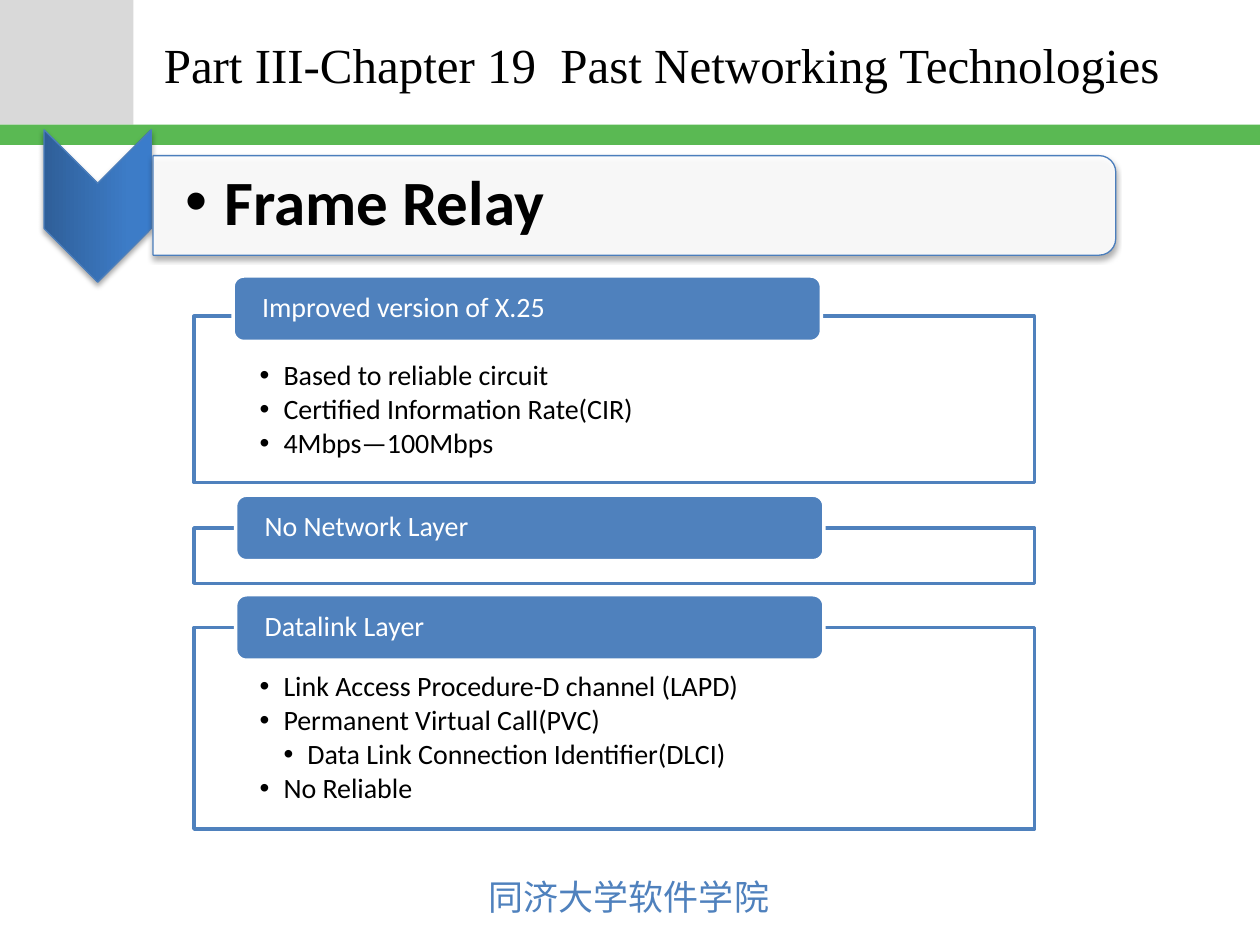
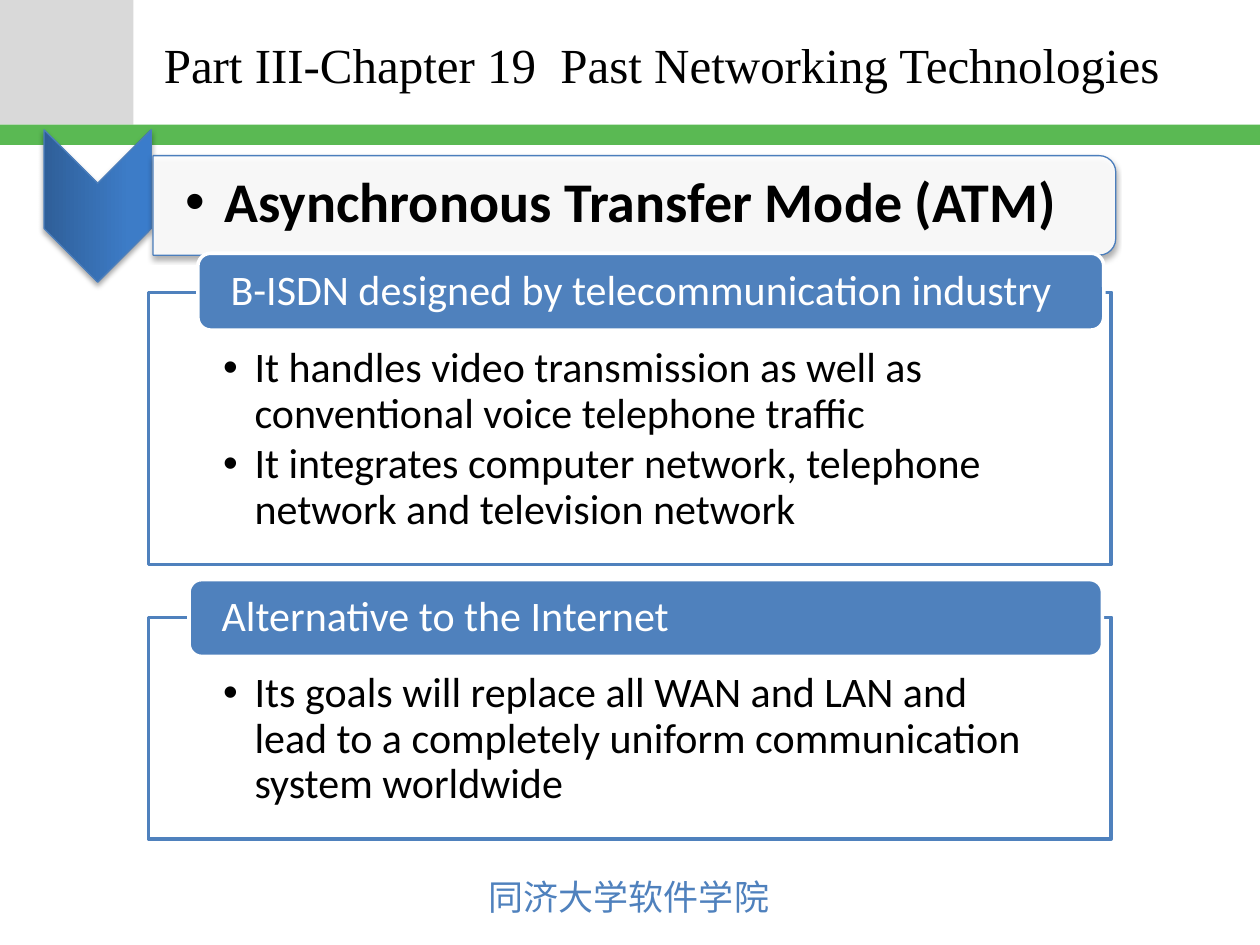
from lxml.etree import SubElement
from pptx import Presentation
from pptx.dml.color import RGBColor
from pptx.enum.shapes import MSO_SHAPE
from pptx.enum.text import MSO_ANCHOR, MSO_AUTO_SIZE, PP_ALIGN
from pptx.oxml import parse_xml
from pptx.oxml.ns import nsdecls, qn
from pptx.util import Inches, Pt

COLORS = {
    "white": "FFFFFF", "black": "000000", "corner": "D9D9D9", "band": "5AB953",
    "accent": "4F81BD", "outline": "4B7EBC",
    "dark": "2F5F99", "mid": "3D7CC7", "light": "3A7CCB",
}
COLUMNS = 100  # the grid is 100 columns by 75 square rows
TITLE = "Part III-Chapter 19  Past Networking Technologies"
FOOTER = "同济大学软件学院"


class Deck:
    """Holds the style and the current slide; lengths are grid columns and rows."""

    def __init__(self):
        self.prs = Presentation()
        self.prs.slide_width, self.prs.slide_height = Inches(10), Inches(7.5)
        self.unit = self.prs.slide_width / COLUMNS
        self.layout = self.prs.slide_layouts.get_by_name("Comparison")
        self.s = None

    def grid(self, *cells):
        return [round(c * self.unit) for c in cells]

    def place(self, sp, box):
        sp.left, sp.top, sp.width, sp.height = self.grid(*box)

    def color(self, name):
        return RGBColor.from_string(COLORS[name])

    def shape(self, kind, box, fill, line=None, width=2, alpha=None):
        sp = self.s.shapes.add_shape(kind, *self.grid(*box))
        sp.shadow.inherit = False
        sp.fill.solid()
        sp.fill.fore_color.rgb = self.color(fill)
        if alpha:
            clr = sp.element.spPr.find(qn("a:solidFill"))[0]
            SubElement(clr, qn("a:alpha"), val=str(alpha * 1000))
        if line:
            sp.line.color.rgb = self.color(line)
            sp.line.width = Pt(width)
        else:
            sp.line.fill.background()
        return sp

    def cast_shadow(self, sp):
        effects = sp.element.spPr.find(qn("a:effectLst"))
        effects.append(parse_xml(
            f'<a:outerShdw {nsdecls("a")} blurRad="40000" dist="23000" dir="5400000" '
            f'rotWithShape="0"><a:srgbClr val="{COLORS["black"]}">'
            '<a:alpha val="35000"/></a:srgbClr></a:outerShdw>'))

    def gradient(self, sp, stops):
        marks = "".join(f'<a:gs pos="{pos * 1000}"><a:srgbClr val="{COLORS[c]}"/></a:gs>'
                        for pos, c in stops)
        solid = sp.element.spPr.find(qn("a:solidFill"))
        solid.getparent().replace(solid, parse_xml(
            f'<a:gradFill {nsdecls("a")} rotWithShape="1"><a:gsLst>{marks}</a:gsLst>'
            '<a:lin ang="16200000" scaled="0"/></a:gradFill>'))

    def frame_text(self, sp, insets, anchor):
        tf = sp.text_frame
        tf.word_wrap = True
        tf.auto_size = MSO_AUTO_SIZE.NONE
        tf.vertical_anchor = anchor
        (tf.margin_left, tf.margin_top,
         tf.margin_right, tf.margin_bottom) = self.grid(*insets)
        return tf

    def style(self, p, size, color, font="Calibri", bold=False):
        p.alignment = PP_ALIGN.LEFT
        p.space_before = Pt(0)
        for r in p.runs:
            r.font.size, r.font.name, r.font.bold = Pt(size), font, bold
            r.font.color.rgb = self.color(color)

    def bullet(self, p, indent, level=0):
        pPr = p._p.get_or_add_pPr()
        step = self.grid(indent)[0]
        pPr.set("marL", str(step * (level + 1)))
        pPr.set("indent", str(-step))
        SubElement(pPr, qn("a:buFont"), typeface="Arial")
        SubElement(pPr, qn("a:buChar"), char="•")

    def master_parts(self):
        """Draw the corner, band and footer once and hand them to the layout."""
        corner = self.shape(MSO_SHAPE.RECTANGLE, (0, 0, 10.6, 9.9), "corner")
        band = self.shape(MSO_SHAPE.RECTANGLE, (0, 9.9, COLUMNS, 1.6), "band")
        footer = self.s.shapes.add_textbox(*self.grid(37.8, 69, 24.5, 4.4))
        footer.text_frame.word_wrap = False
        footer.text_frame.auto_size = MSO_AUTO_SIZE.SHAPE_TO_FIT_TEXT
        p = footer.text_frame.paragraphs[0]
        p.text = FOOTER
        self.style(p, 20, "accent", "Noto Sans CJK JP")
        SubElement(p.runs[0].font._element, qn("a:ea"), typeface="Noto Sans CJK JP")
        for sp in (corner, band, footer):
            self.layout.shapes.element.append(sp.element)

    def new_slide(self):
        first = self.s is None
        self.s = self.prs.slides.add_slide(self.layout)
        if first:
            self.master_parts()
        title, *self.bodies = self.s.placeholders
        self.place(title, (12, 0.2, 86, 9.8))
        tf = self.frame_text(title, (1, 0.5, 1, 0.5), MSO_ANCHOR.MIDDLE)
        tf.text = TITLE
        self.style(tf.paragraphs[0], 28, "black", "Times New Roman")

    def bullets(self, box, items, size, insets, indent, anchor=MSO_ANCHOR.TOP, bold=False):
        """Fill the next body placeholder and bring it to the front."""
        sp = self.bodies.pop(0)
        self.s.shapes.element.append(sp.element)
        self.place(sp, box)
        tf = self.frame_text(sp, insets, anchor)
        tf.text = "\n".join(text for text, _ in items)
        for p, (_, level) in zip(tf.paragraphs, items):
            p.level = level
            p.line_spacing = 0.9
            p.space_after = Pt(round(size * 0.13, 1))
            self.bullet(p, indent, level)
            self.style(p, size, "black", bold=bold)

    def heading(self, text, size):
        chevron = self.shape(MSO_SHAPE.CHEVRON, (1.7, 12.1, 12.1, 8.5),
                             "mid", "outline", 0.75)
        self.gradient(chevron, [(0, "dark"), (80, "mid"), (100, "light")])
        bar = self.shape(MSO_SHAPE.ROUND_2_SAME_RECTANGLE, (46.4, -21.9, 7.9, 76.4),
                         "white", "outline", 0.75, alpha=90)
        for sp in (chevron, bar):
            sp.rotation = 90
            self.cast_shadow(sp)
        self.bullets((12.2, 12.7, 76, 7.1), [(text, 0)], size, (2.5, 0.2, 0.2, 0.2),
                     3.1, MSO_ANCHOR.MIDDLE, bold=True)

    def panel(self, look, rows, tab, label, items):
        """A framed list with a rounded label on its top edge."""
        top, height = rows
        box = (look["x"], top, look["w"], height)
        self.shape(MSO_SHAPE.RECTANGLE, box, "white", "accent", alpha=90)
        if items:
            self.bullets(box, items, look["size"], look["insets"], look["indent"])
        x, y, w = tab
        sp = self.shape(MSO_SHAPE.ROUNDED_RECTANGLE, (x, y, w, look["tab_h"]),
                        "accent", "white")
        pad = look["tab_pad"]
        tf = self.frame_text(sp, (pad, 0, pad, 0), MSO_ANCHOR.MIDDLE)
        tf.text = label
        tf.paragraphs[0].line_spacing = 0.9
        self.style(tf.paragraphs[0], look["size"], "white")

    def finish_slide(self):
        for sp in self.bodies:
            sp.element.getparent().remove(sp.element)


# Panel looks: compact for three panels, large for two
COMPACT = dict(x=15.4, w=66.7, size=16, insets=(5.2, 3.6, 5.2, 1.2), indent=1.9,
               tab_h=5.2, tab_pad=2.05)
LARGE = dict(x=11.8, w=76.4, size=24, insets=(5.9, 4.3, 5.9, 1.9), indent=2.5,
             tab_h=6.1, tab_pad=2.3)

# Heading, heading size, look, panels: (top, height), (label x, y, width), label, items
SLIDES = [
    ("Frame Relay", 36, COMPACT, [
        ((25.1, 13.2), (18.5, 21.9, 46.7), "Improved version of X.25", [
            ("Based to reliable circuit", 0),
            ("Certified Information Rate(CIR)", 0),
            ("4Mbps—100Mbps", 0)]),
        ((41.9, 4.4), (18.7, 39.3, 46.7), "No Network Layer", []),
        ((49.8, 16), (18.7, 47.2, 46.7), "Datalink Layer", [
            ("Link Access Procedure-D channel (LAPD)", 0),
            ("Permanent Virtual Call(PVC)", 0),
            ("Data Link Connection Identifier(DLCI)", 1),
            ("No Reliable", 0)]),
    ]),
    ("Asynchronous Transfer Mode (ATM)", 32, LARGE, [
        ((23.2, 21.6), (15.7, 20.1, 71.9), "B-ISDN designed by telecommunication industry", [
            ("It handles video transmission as well as conventional voice "
             "telephone traffic", 0),
            ("It integrates computer network, telephone network and "
             "television network", 0)]),
        ((49, 17.6), (15, 46, 72.5), "Alternative to the Internet", [
            ("Its goals will replace all WAN and LAN and lead to a completely "
             "uniform communication system worldwide", 0)]),
    ]),
]


def main():
    deck = Deck()
    for heading, size, look, panels in SLIDES:
        deck.new_slide()
        deck.heading(heading, size)
        for panel in panels:
            deck.panel(look, *panel)
        deck.finish_slide()
    deck.prs.save("out.pptx")


if __name__ == "__main__":
    main()
